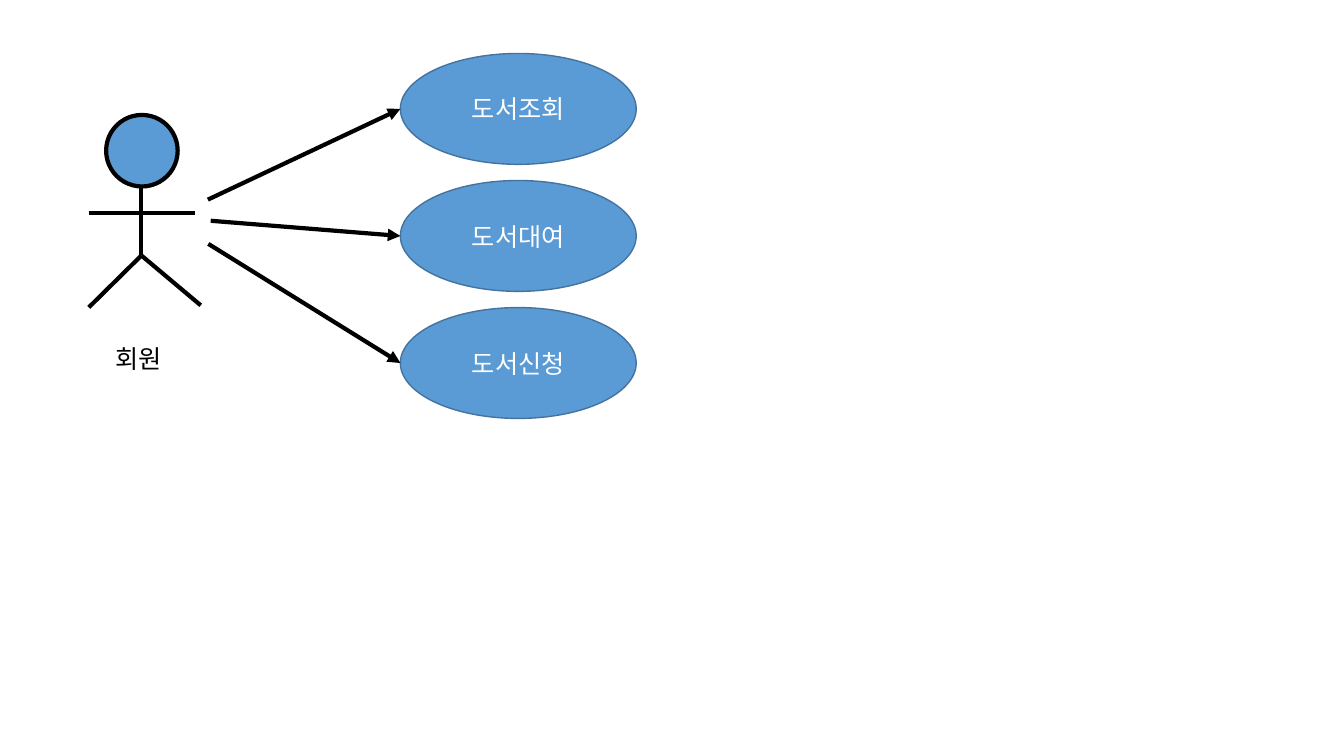
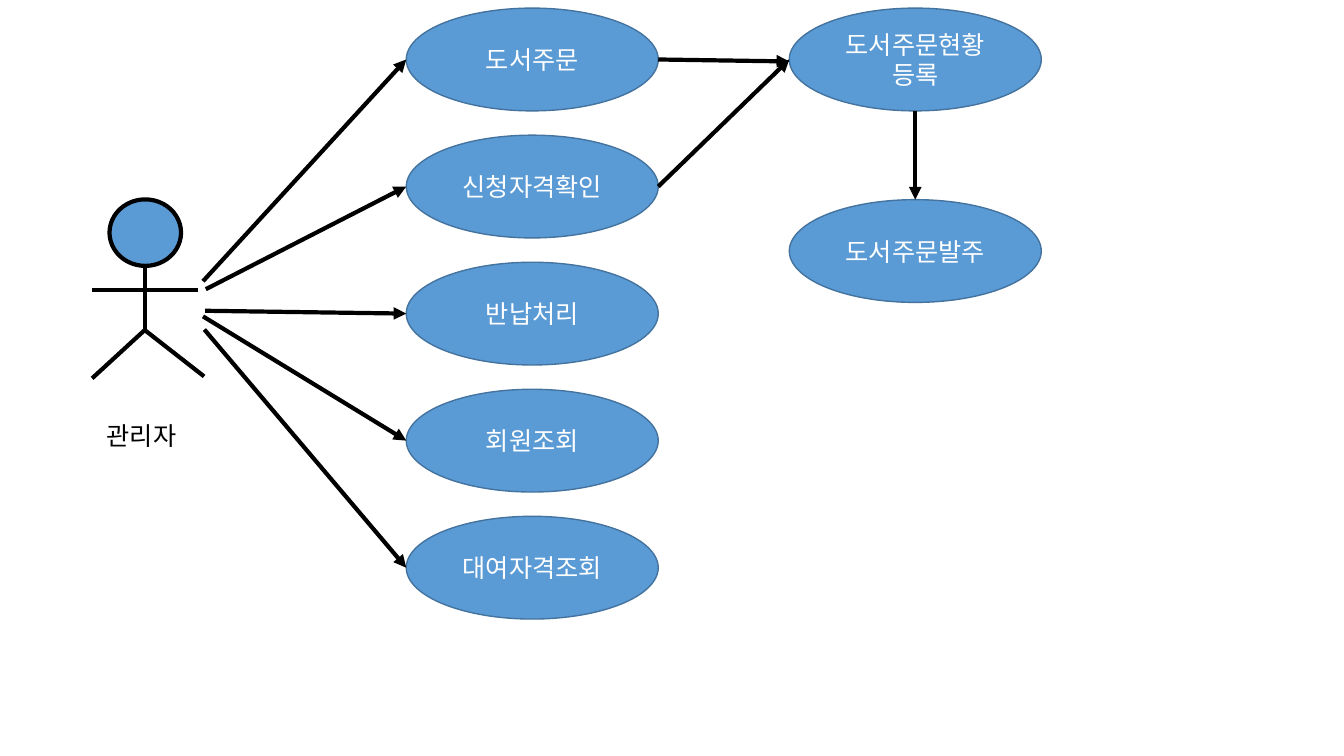
import dataclasses
import pptx
import pptx.dml.color
import pptx.enum.lang
import pptx.enum.shapes
import pptx.enum.text
import pptx.oxml
import pptx.oxml.ns
import pptx.util

Pt = pptx.util.Pt
rgb = pptx.dml.color.RGBColor.from_string
ELLIPSE = pptx.enum.shapes.MSO_SHAPE.OVAL
STRAIGHT = pptx.enum.shapes.MSO_CONNECTOR.STRAIGHT
KOREAN = pptx.enum.lang.MSO_LANGUAGE_ID.KOREAN
CENTER = pptx.enum.text.PP_ALIGN.CENTER
LEFT = pptx.enum.text.PP_ALIGN.LEFT
MIDDLE = pptx.enum.text.MSO_ANCHOR.MIDDLE
TOP = pptx.enum.text.MSO_ANCHOR.TOP
GROW = pptx.enum.text.MSO_AUTO_SIZE.SHAPE_TO_FIT_TEXT


@dataclasses.dataclass(frozen=True)
class Theme:
    font: str = "Noto Sans CJK KR"
    text_size: int = 18
    fill: str = "5B9BD5"
    outline: str = "43739E"
    ink: str = "000000"
    light: str = "FFFFFF"
    thin: int = 1
    thick: int = 3


THEME = Theme()
ROW_STEP = 90.75


def apply(target, values):
    for name, value in values.items():
        setattr(target, name, value)


def add_element(parent, tag, **attributes):
    element = pptx.oxml.parse_xml(f"<{tag} {pptx.oxml.ns.nsdecls('a')}/>")
    for name, value in attributes.items():
        element.set(name, value)
    parent.append(element)


def style_line(line, color, width):
    line.color.rgb = rgb(color)
    line.width = Pt(width)


def write_text(shape, text, color, align, frame_format):
    frame = shape.text_frame
    apply(frame, {"word_wrap": True, **frame_format})
    paragraph = frame.paragraphs[0]
    paragraph.alignment = align
    run = paragraph.add_run()
    run.text = text
    apply(run.font, {"name": THEME.font, "size": Pt(THEME.text_size),
                     "language_id": KOREAN})
    run.font.color.rgb = rgb(color)
    add_element(run.font._element, "a:ea", typeface=THEME.font)


def add_ellipse(shapes, box, outline, width):
    ellipse = shapes.add_shape(ELLIPSE, *map(Pt, box))
    ellipse.shadow.inherit = False
    ellipse.fill.solid()
    ellipse.fill.fore_color.rgb = rgb(THEME.fill)
    style_line(ellipse.line, outline, width)
    return ellipse


def add_use_case(slide, text, box):
    use_case = add_ellipse(slide.shapes, box, THEME.outline, THEME.thin)
    write_text(use_case, text, THEME.light, CENTER, {"vertical_anchor": MIDDLE})


def add_stroke(shapes, start, end):
    stroke = shapes.add_connector(STRAIGHT, *map(Pt, (*start, *end)))
    style_line(stroke.line, THEME.ink, THEME.thick)
    add_element(stroke._element.spPr, "a:effectLst")
    return stroke


def add_arrow(slide, start, end):
    arrow = add_stroke(slide.shapes, start, end)
    add_element(arrow.line._get_or_add_ln(), "a:tailEnd", type="triangle")


def add_actor(slide, left, top, height_scale, label, label_box):
    def place(x, y):
        return left + x, top + y * height_scale

    figure = slide.shapes.add_group_shape().shapes
    head_size = 51.1
    add_ellipse(figure, (*place(12.4, 0), head_size, head_size * height_scale),
                THEME.ink, THEME.thick)
    neck, hip = place(37.6, 51.1), place(37.6, 100.4)
    left_hand, right_hand = place(0, 69.8), place(75.6, 69.8)
    left_foot, right_foot = place(0, 137.5), place(80, 136)
    for start, end in ((left_hand, right_hand), (neck, hip),
                       (hip, right_foot), (hip, left_foot)):
        add_stroke(figure, start, end)
    caption = slide.shapes.add_textbox(*map(Pt, label_box))
    write_text(caption, label, THEME.ink, LEFT,
               {"vertical_anchor": TOP, "auto_size": GROW})


def add_use_case_column(slide, labels, arrow_starts, left, top, width, height):
    for row, (label, start) in enumerate(zip(labels, arrow_starts)):
        row_top = top + row * ROW_STEP
        add_use_case(slide, label, (left, row_top, width, height))
        add_arrow(slide, start, (left, row_top + height / 2))


def build_member(slide):
    add_actor(slide, 63.4, 82.1, 1, "회원", (75.6, 241.9, 51.1, 29))
    add_use_case_column(
        slide, ("도서조회", "도서대여", "도서신청"),
        ((148.5, 142.6), (150.5, 157.7), (148.8, 174.2)),
        286, 38.2, 168.5, 79.2)


def build_manager(slide):
    left, top, width, height = 290.2, 5.8, 180, 73.4
    order_left, issue_top = 563.8, 142.6
    add_actor(slide, 65.8, 142.4, 0.93, "관리자", (69.1, 296.6, 69.1, 29))
    add_use_case_column(
        slide, ("도서주문", "신청자격확인", "반납처리", "회원조회", "대여자격조회"),
        ((145, 200.9), (147, 206.6), (146.5, 222), (145, 226), (146, 235.4)),
        left, top, width, height)
    add_use_case(slide, "도서주문현황등록", (order_left, top, width, height))
    add_use_case(slide, "도서주문발주", (order_left, issue_top, width, height))
    right, middle = left + width, top + height / 2
    order_center = order_left + width / 2
    add_arrow(slide, (right, middle), (order_left, middle + 1.4))
    add_arrow(slide, (right, middle + ROW_STEP), (order_left, middle))
    add_arrow(slide, (order_center, top + height), (order_center, issue_top))


def main():
    deck = pptx.Presentation()
    apply(deck, {"slide_width": Pt(960), "slide_height": Pt(540)})
    blank = deck.slide_layouts[6]
    for build in (build_member, build_manager):
        build(deck.slides.add_slide(blank))
    deck.save("out.pptx")


main()
